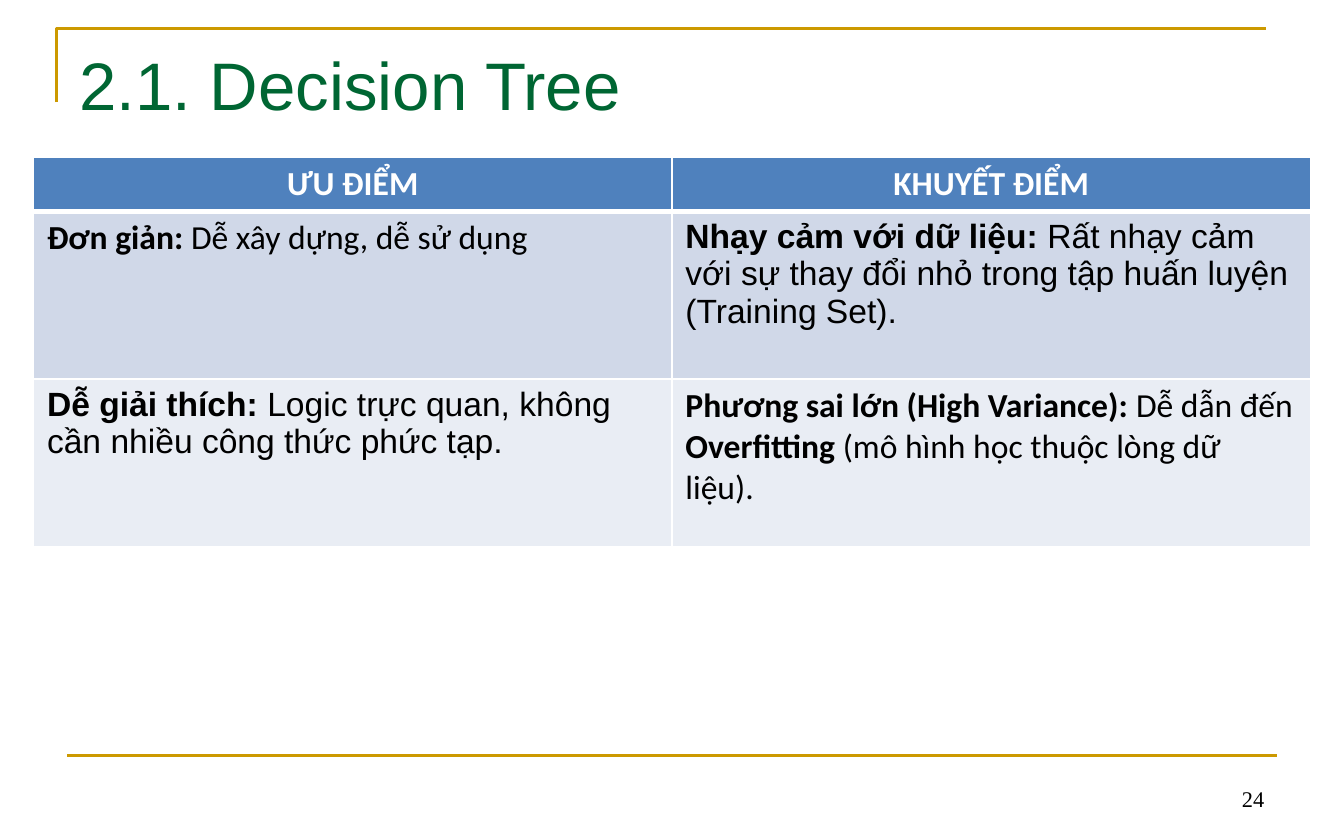
from lxml.etree import SubElement
from pptx import Presentation
from pptx.dml.color import RGBColor
from pptx.enum.shapes import MSO_CONNECTOR
from pptx.enum.text import MSO_ANCHOR, PP_ALIGN
from pptx.oxml.ns import qn
from pptx.util import Emu, Pt

PX = 9144
GOLD = RGBColor(0xCC, 0x99, 0x00)
GREEN = RGBColor(0x00, 0x66, 0x33)
BLACK = RGBColor(0x00, 0x00, 0x00)
WHITE = RGBColor(0xFF, 0xFF, 0xFF)
HEADER_BLUE = RGBColor(0x4F, 0x81, 0xBD)
BAND_DARK = RGBColor(0xD0, 0xD8, 0xE8)
BAND_LIGHT = RGBColor(0xE9, 0xED, 0xF4)

TITLE = "2.1. Decision Tree"
PAGE_NUMBER = "24"
TABLE_ROWS = [
    (40, HEADER_BLUE, WHITE, PP_ALIGN.CENTER, [
        ("Calibri", [("ƯU ĐIỂM", True)]),
        ("Calibri", [("KHUYẾT ĐIỂM", True)]),
    ]),
    (125, BAND_DARK, BLACK, PP_ALIGN.LEFT, [
        ("Calibri", [("Đơn giản:", True), (" Dễ xây dựng, dễ sử dụng", False)]),
        ("Arial", [
            ("Nhạy cảm với dữ liệu: ", True),
            ("Rất nhạy cảm với sự thay đổi nhỏ trong tập huấn luyện (Training Set).", False),
        ]),
    ]),
    (125, BAND_LIGHT, BLACK, PP_ALIGN.LEFT, [
        ("Arial", [
            ("Dễ giải thích:", True),
            (" Logic trực quan, không cần nhiều công thức phức tạp.", False),
        ]),
        ("Calibri", [
            ("Phương sai lớn (High Variance):", True),
            (" Dễ dẫn đến ", False),
            ("Overfitting", True),
            (" (mô hình học thuộc lòng dữ liệu).", False),
        ]),
    ]),
]
COLUMN_WIDTH = 475


def px(*lengths):
    return [Emu(length * PX) for length in lengths]


def add_run(paragraph, text, font_name, size, color, bold=False):
    run = paragraph.add_run()
    run.text = text
    run.font.name = font_name
    run.font.size = Pt(size)
    run.font.bold = bold
    run.font.color.rgb = color


def clear_margins(text_frame):
    text_frame.margin_left = text_frame.margin_right = 0
    text_frame.margin_top = text_frame.margin_bottom = 0
    text_frame.vertical_anchor = MSO_ANCHOR.TOP


def add_border(cell, side, width):
    line = SubElement(cell._tc.get_or_add_tcPr(), qn(f"a:{side}"), w=str(Pt(width)))
    fill = SubElement(line, qn("a:solidFill"))
    SubElement(fill, qn("a:srgbClr"), val=str(WHITE))


def add_rules(slide):
    builder = slide.shapes.build_freeform(42, 76, scale=PX)
    builder.add_line_segments([(42, 21), (942, 21)], close=False)
    corner = builder.convert_to_shape()
    corner.fill.background()
    corner.shadow.inherit = False
    footer_rule = slide.shapes.add_connector(
        MSO_CONNECTOR.STRAIGHT, *px(50, 562, 950, 562))
    SubElement(footer_rule._element.spPr, qn("a:effectLst"))
    for rule in (corner, footer_rule):
        rule.line.color.rgb = GOLD
        rule.line.width = Pt(1.5)


def add_title(slide):
    title = slide.shapes.title
    title.left, title.top, title.width, title.height = px(59, 32, 941, 62)
    clear_margins(title.text_frame)
    paragraph = title.text_frame.paragraphs[0]
    paragraph.alignment = PP_ALIGN.LEFT
    add_run(paragraph, TITLE, "Arial", 36, GREEN)


def add_page_number(slide):
    box = slide.shapes.add_textbox(*px(920, 585, 25, 22))
    clear_margins(box.text_frame)
    box.text_frame.word_wrap = True
    paragraph = box.text_frame.paragraphs[0]
    paragraph.line_spacing = Pt(13.8)
    box.text_frame.margin_left = Emu(4 * PX)
    add_run(paragraph, PAGE_NUMBER, "Times New Roman", 12, BLACK)


def add_comparison(slide):
    column_count = len(TABLE_ROWS[0][4])
    total_height = sum(row[0] for row in TABLE_ROWS)
    table = slide.shapes.add_table(
        len(TABLE_ROWS), column_count,
        *px(25, 117, COLUMN_WIDTH * column_count, total_height)).table
    table.horz_banding = False
    for column in table.columns:
        column.width = Emu(COLUMN_WIDTH * PX)
    for row_index, (height, fill, color, alignment, cells) in enumerate(TABLE_ROWS):
        table.rows[row_index].height = Emu(height * PX)
        borders = {"lnL": 1, "lnR": 1,
                   "lnT": 3 if row_index == 1 else 1,
                   "lnB": 3 if row_index == 0 else 1}
        for column_index, (font_name, runs) in enumerate(cells):
            cell = table.cell(row_index, column_index)
            for side, width in borders.items():
                add_border(cell, side, width)
            cell.fill.solid()
            cell.fill.fore_color.rgb = fill
            paragraph = cell.text_frame.paragraphs[0]
            paragraph.alignment = alignment
            for text, bold in runs:
                add_run(paragraph, text, font_name, 18, color, bold)


def main():
    presentation = Presentation()
    presentation.slide_width, presentation.slide_height = px(1000, 625)
    slide = presentation.slides.add_slide(presentation.slide_layouts[5])
    add_rules(slide)
    add_title(slide)
    add_page_number(slide)
    add_comparison(slide)
    presentation.save("out.pptx")


if __name__ == "__main__":
    main()
